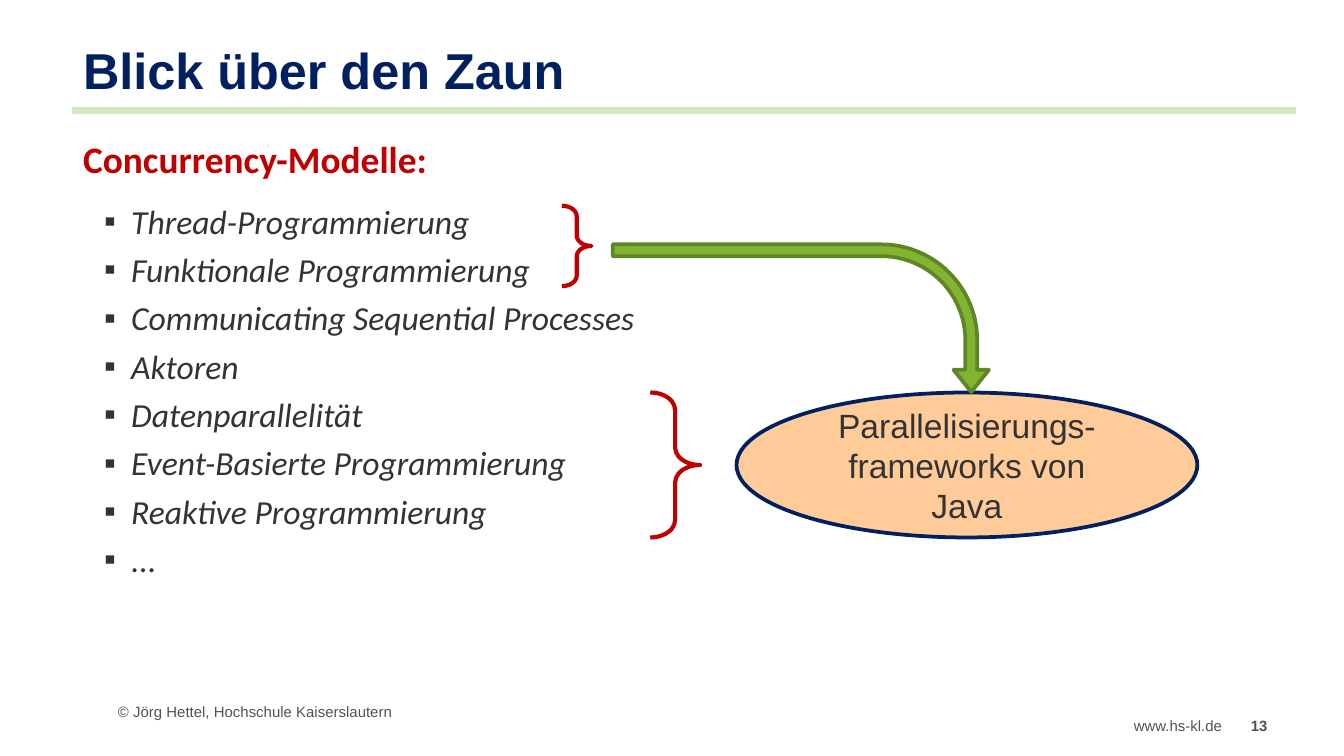
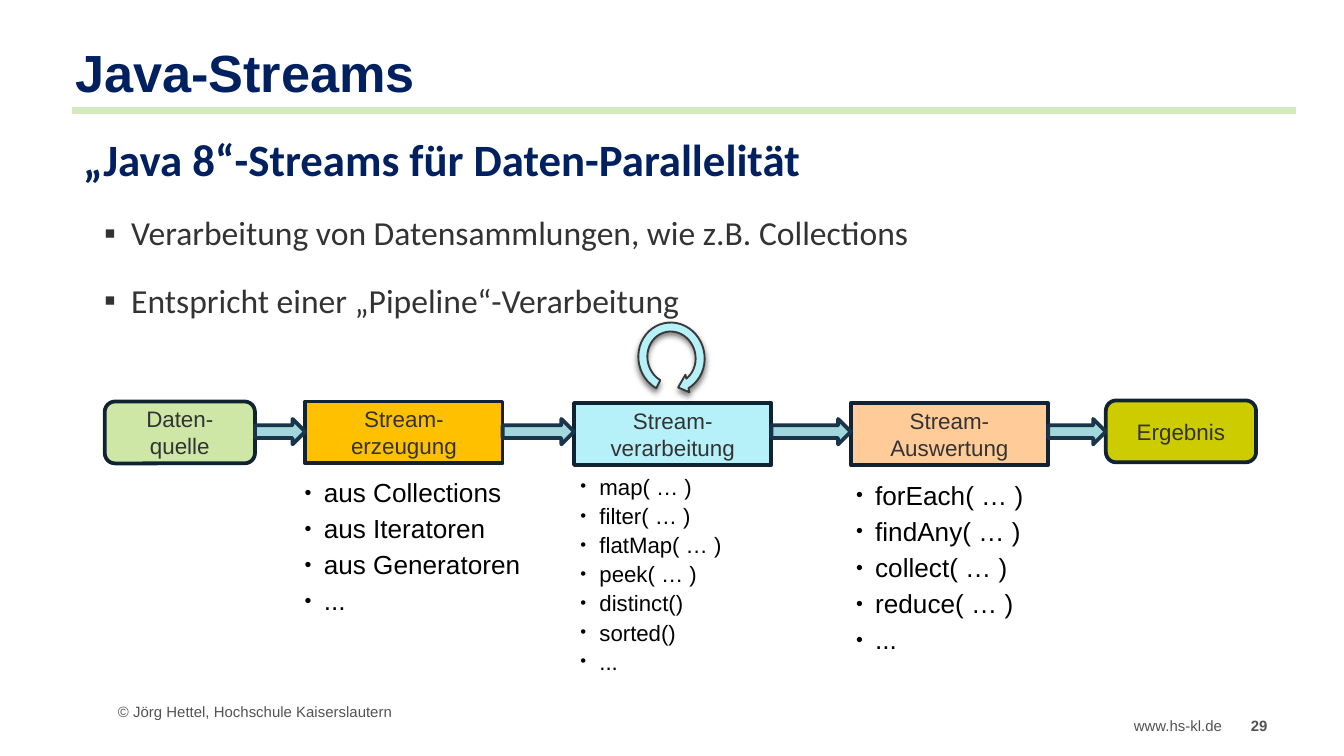
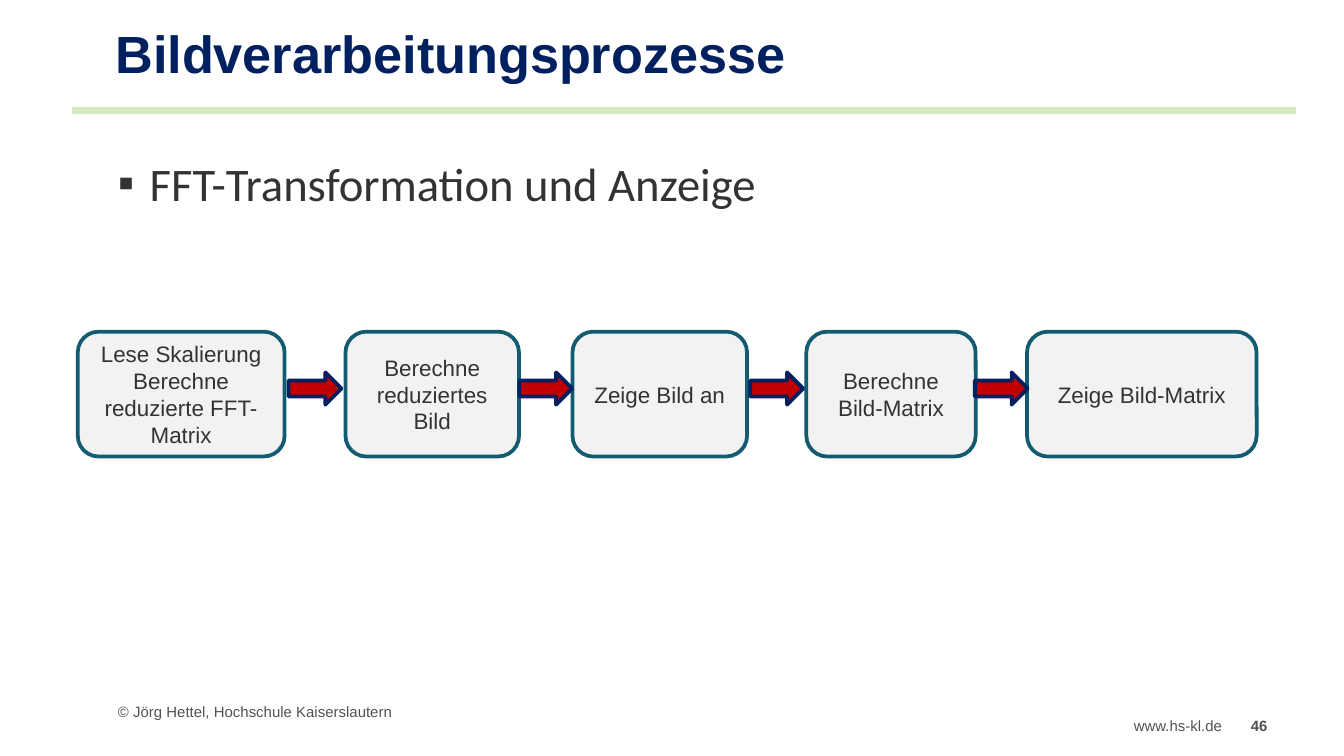
import pptx
import pptx.dml.color
import pptx.enum.shapes
import pptx.enum.text
import pptx.oxml
import pptx.oxml.ns
import pptx.util
from lxml import etree

Cm = pptx.util.Cm
Pt = pptx.util.Pt
RGBColor = pptx.dml.color.RGBColor
KIND = pptx.enum.shapes.MSO_SHAPE
SIDE = pptx.enum.text.PP_ALIGN
HOLD = pptx.enum.text.MSO_ANCHOR
qn = pptx.oxml.ns.qn

NAVY = RGBColor(0x00, 0x20, 0x60)
RED = RGBColor(0xC0, 0x00, 0x00)
INK = RGBColor(0x33, 0x33, 0x33)
BLACK = RGBColor(0x00, 0x00, 0x00)
GREY = RGBColor(0x52, 0x52, 0x52)
RULE = RGBColor(0xD3, 0xEA, 0xBF)
PEACH = RGBColor(0xFF, 0xCC, 0x99)
LEAF = RGBColor(0x82, 0xB4, 0x32)
MOSS = RGBColor(0x60, 0x85, 0x25)
MINT = RGBColor(0xCE, 0xE7, 0xA7)
OLIVE = RGBColor(0xCC, 0xCC, 0x00)
AMBER = RGBColor(0xFF, 0xC0, 0x00)
ICE = RGBColor(0xB6, 0xF0, 0xF8)
EDGE = RGBColor(0x11, 0x22, 0x33)
AQUA = RGBColor(0xA1, 0xD7, 0xDD)
STEEL = RGBColor(0x1A, 0x34, 0x4C)
COAL = RGBColor(0x39, 0x39, 0x39)
PALE = RGBColor(0xF2, 0xF2, 0xF2)
TEAL = RGBColor(0x12, 0x5B, 0x70)

TITLE_PAD = (0.25, 0.13, 0.25, 0.15)
BODY_PAD = (0.25, 0.1, 0.25, 0.13)
SHAPE_PAD = (0.25, 0.13, 0.25, 0.13)
SLIM_PAD = (0.1, 0.1, 0.1, 0.1)
ITEM = dict(font="Calibri", mark="▪", level=1, dent=(0.91, -0.51))


def place(box, at):
    box.left, box.top, box.width, box.height = map(Cm, at)


def frame(box, pad=SHAPE_PAD, hold=HOLD.TOP, wrap=True):
    """Set the margins, anchor and wrapping of a box."""
    text = box.text_frame
    text.auto_size = pptx.enum.text.MSO_AUTO_SIZE.NONE
    text.word_wrap = wrap
    text.vertical_anchor = hold
    (text.margin_left, text.margin_top,
     text.margin_right, text.margin_bottom) = map(Cm, pad)


def mark_up(para, mark, dent, scale):
    """Give a paragraph its bullet, or none, and its indents."""
    props = para._p.get_or_add_pPr()
    props.set("marL", str(Cm(dent[0])))
    props.set("indent", str(Cm(dent[1])))
    if not mark:
        etree.SubElement(props, qn("a:buNone"))
        return
    etree.SubElement(props, qn("a:buSzPct"), val=str(scale * 1000))
    etree.SubElement(props, qn("a:buFont"), typeface="Arial")
    etree.SubElement(props, qn("a:buChar"), char=mark)


def write(box, lines, size, color=INK, font="Arial", bold=False, slant=False,
          side=SIDE.LEFT, mark=None, dent=(0, 0), scale=100, level=0,
          pitch=1.0, above=0, below=0):
    """Add one paragraph per line of text, all in the same format."""
    text = box.text_frame
    for line in lines:
        first = not text.text
        para = text.paragraphs[0] if first else text.add_paragraph()
        mark_up(para, mark, dent, scale)
        para.level = level
        para.alignment = side
        para.line_spacing = pitch
        para.space_before = Pt(0 if first else above)
        para.space_after = Pt(below)
        run = para.add_run()
        run.text = line
        run.font.name = font
        run.font.size = Pt(size)
        run.font.bold = bold
        run.font.italic = slant
        run.font.color.rgb = color


def label(slide, at, lines, size, pad=SHAPE_PAD, hold=HOLD.TOP, wrap=True,
          **style):
    box = slide.shapes.add_textbox(*map(Cm, at))
    frame(box, pad, hold, wrap)
    write(box, lines, size, **style)


def draw(slide, kind, at, fill, line, width=2, lines=(), size=12, turn=0,
         bends=()):
    """Add a preset shape, with centred text if there are lines."""
    shape = slide.shapes.add_shape(kind, *map(Cm, at))
    shape.shadow.inherit = False
    if fill is None:
        shape.fill.background()
    else:
        shape.fill.solid()
        shape.fill.fore_color.rgb = fill
    shape.line.color.rgb = line
    shape.line.width = Pt(width)
    shape.rotation = turn
    for spot, bend in enumerate(bends):
        shape.adjustments[spot] = bend
    if lines:
        frame(shape, hold=HOLD.MIDDLE)
        write(shape, lines, size, side=SIDE.CENTER)
    return shape


def shade(shape):
    """Add a soft shadow below a shape."""
    glow = etree.SubElement(
        shape._element.spPr.find(qn("a:effectLst")), qn("a:outerShdw"),
        blurRad=str(Pt(3)), dist=str(Pt(2)), dir="5400000", rotWithShape="0")
    tint = etree.SubElement(glow, qn("a:srgbClr"), val="000000")
    etree.SubElement(tint, qn("a:alpha"), val="50000")


def start(deck, title, page, at, size=28, pad=TITLE_PAD, hold=HOLD.BOTTOM):
    """Add a slide with its title, rule and footers."""
    slide = deck.slides.add_slide(deck.slide_layouts[1])
    head = slide.shapes.title
    place(head, at)
    frame(head, pad, hold)
    write(head, [title], size, color=NAVY, bold=True, pitch=Pt(31))

    rule = slide.shapes.add_connector(
        pptx.enum.shapes.MSO_CONNECTOR.STRAIGHT,
        Cm(1.37), Cm(2.08), Cm(24.49), Cm(2.08))
    rule.line.color.rgb = RULE
    rule.line.width = Pt(3.75)
    etree.SubElement(rule._element.spPr, qn("a:effectLst"))

    foot = dict(size=8, color=GREY)
    label(slide, (21.18, 13.41, 2.21, 0.61), ["www.hs-kl.de"], wrap=False,
          **foot)
    label(slide, (23.39, 13.41, 1.09, 0.61), [str(page)], wrap=False,
          bold=True, **foot)
    label(slide, (1.98, 13.26, 9.22, 0.38),
          ["© Jörg Hettel, Hochschule Kaiserslautern"], hold=HOLD.MIDDLE,
          **foot)
    return slide


def body(slide, at):
    box = slide.placeholders[1]
    place(box, at)
    frame(box, BODY_PAD)
    return box


def models(deck):
    slide = start(deck, "Blick über den Zaun", 13, (1.32, 0.71, 21.69, 1.32),
                  size=27)
    text = body(slide, (1.32, 2.31, 21.69, 10.24))
    write(text, ["Concurrency-Modelle:"], 20, color=RED, font="Calibri",
          bold=True, pitch=1.2, below=6)
    write(text, ["Thread-Programmierung", "Funktionale Programmierung",
                 "Communicating Sequential Processes", "Aktoren",
                 "Datenparallelität", "Event-Basierte Programmierung",
                 "Reaktive Programmierung", "..."],
          18, slant=True, pitch=1.2, **ITEM)
    draw(slide, KIND.OVAL, (13.92, 7.42, 8.71, 2.74), PEACH, NAVY, size=18,
         lines=["Parallelisierungs-frameworks von Java"])
    draw(slide, KIND.BENT_ARROW, (13.74, 2.46, 2.79, 7.11), LEAF, MOSS,
         turn=90, bends=(0.08, 0.12, 0.15, 0.65))
    for at in ((12.29, 7.42, 0.94, 2.74), (10.62, 3.89, 0.56, 1.52)):
        draw(slide, KIND.RIGHT_BRACE, at, None, RED, 2.25, bends=(0.35, 0.5))


def streams(deck):
    slide = start(deck, "Java-Streams", 29, (1.32, 0.61, 21.69, 1.57),
                  pad=SLIM_PAD, hold=HOLD.MIDDLE)
    text = body(slide, (1.32, 2.39, 21.79, 4.22))
    write(text, ["„Java 8“-Streams für Daten-Parallelität"], 24, color=NAVY,
          font="Calibri", bold=True, below=6)
    write(text, ["Verarbeitung von Datensammlungen, wie z.B. Collections",
                 "Entspricht einer „Pipeline“-Verarbeitung"],
          18, above=8.4, below=6, **ITEM)

    steps = [
        (KIND.ROUNDED_RECTANGLE, 1.98, 7.59, 2.84, MINT, "Daten-quelle"),
        (KIND.RECTANGLE, 5.77, 7.59, 3.73, AMBER, "Stream-erzeugung"),
        (KIND.RECTANGLE, 10.85, 7.62, 3.73, ICE, "Stream-verarbeitung"),
        (KIND.RECTANGLE, 16.08, 7.62, 3.73, PEACH, "Stream-Auswertung"),
        (KIND.ROUNDED_RECTANGLE, 20.9, 7.57, 2.84, OLIVE, "Ergebnis"),
    ]
    for kind, left, top, wide, fill, name in steps:
        draw(slide, kind, (left, top, wide, 1.17), fill, EDGE, lines=[name])
    for step, after in zip(steps, steps[1:]):
        end = step[1] + step[3]
        draw(slide, KIND.RIGHT_ARROW, (end, 7.92, after[1] - end, 0.48),
             AQUA, STEEL)

    lists = [
        ((5.66, 8.97, 4.78, 4.22), 14, 0.9,
         ["aus Collections", "aus Iteratoren", "aus Generatoren", "..."]),
        ((10.87, 8.94, 4.5, 4.22), 11.9, 0.8,
         ["map( … )", "filter( … )", "flatMap( … )", "peek( … )",
          "distinct()", "sorted()", "..."]),
        ((16.08, 9.02, 4.5, 3.58), 14, 0.9,
         ["forEach( … )", "findAny( … )", "collect( … )", "reduce( … )",
          "..."]),
    ]
    for at, size, pitch, lines in lists:
        label(slide, at, lines, size, pad=SLIM_PAD, color=BLACK, mark="•",
              scale=75, dent=(0.36, -0.36), pitch=pitch, below=4.2)

    loop = draw(slide, KIND.CIRCULAR_ARROW, (11.94, 6.05, 1.5, 1.42), ICE,
                COAL, 1, turn=77.5, bends=(0.12, 11.42, 204.58, 23.37, 0.12))
    shade(loop)


def image(deck):
    slide = start(deck, "Bildverarbeitungsprozesse", 46,
                  (1.93, 0.74, 18.67, 0.99))
    text = body(slide, (1.98, 2.82, 21.79, 1.45))
    write(text, ["FFT-Transformation und Anzeige"], 25, font="Calibri",
          mark="▪", dent=(0.6, -0.6), below=6)

    steps = [
        (1.47, 3.91, ["Lese Skalierung", "Berechne reduzierte FFT-Matrix"]),
        (6.53, 3.28, ["Berechne reduziertes Bild"]),
        (10.82, 3.3, ["Zeige Bild an"]),
        (15.24, 3.2, ["Berechne Bild-Matrix"]),
        (19.41, 4.34, ["Zeige Bild-Matrix"]),
    ]
    for left, wide, lines in steps:
        draw(slide, KIND.ROUNDED_RECTANGLE, (left, 6.27, wide, 2.36), PALE,
             TEAL, lines=lines)
    for step, after in zip(steps, steps[1:]):
        mid = (step[0] + step[1] + after[0]) / 2
        draw(slide, KIND.RIGHT_ARROW, (mid - 0.5, 7.04, 1, 0.61), RED, NAVY)


def main():
    deck = pptx.Presentation()
    deck.slide_width, deck.slide_height = Cm(25.4), Cm(14.29)
    models(deck)
    streams(deck)
    image(deck)
    deck.save("out.pptx")


if __name__ == "__main__":
    main()
